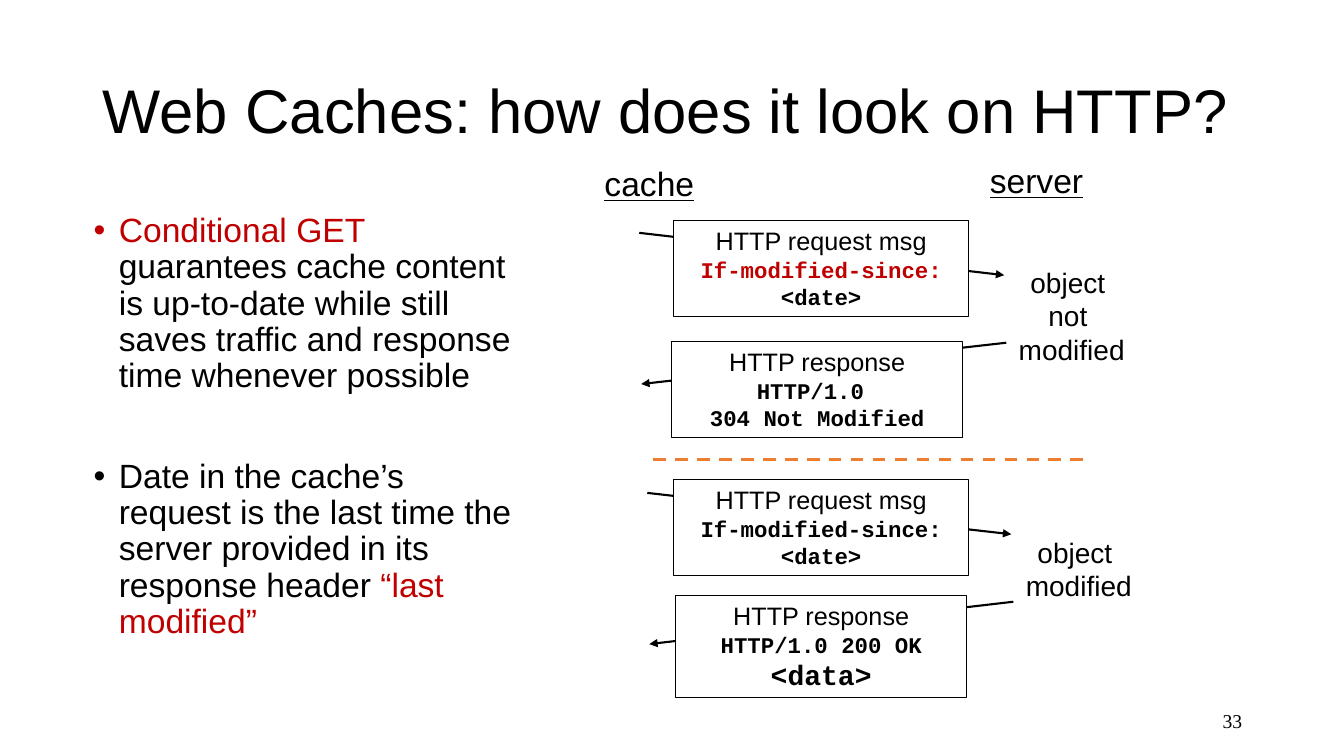
"""Builds the slide on conditional GET between a web cache and a server."""
from lxml import etree
from pptx import Presentation
from pptx.dml.color import RGBColor
from pptx.enum.dml import MSO_LINE
from pptx.enum.shapes import MSO_CONNECTOR, MSO_SHAPE
from pptx.enum.text import MSO_ANCHOR, PP_ALIGN
from pptx.oxml.ns import qn
from pptx.util import Inches, Pt

LEFT, CENTER, RIGHT = PP_ALIGN.LEFT, PP_ALIGN.CENTER, PP_ALIGN.RIGHT
TOP, MIDDLE = MSO_ANCHOR.TOP, MSO_ANCHOR.MIDDLE
RECTANGLE, STRAIGHT = MSO_SHAPE.RECTANGLE, MSO_CONNECTOR.STRAIGHT
DASH = MSO_LINE.DASH

COLORS = {"black": "000000", "white": "FFFFFF", "red": "C00000", "orange": "ED7D31"}
FORMATS = {
    "title": {"name": "Arial", "size": Pt(44)},
    "body": {"name": "Arial", "size": Pt(24)},
    "host": {"name": "Arial", "size": Pt(24), "underline": True},
    "state": {"name": "Arial", "size": Pt(20)},
    "message": {"name": "Arial", "size": Pt(18)},
    "code": {"name": "Courier New", "size": Pt(16), "bold": True},
    "data": {"name": "Courier New", "size": Pt(20), "bold": True},
    "number": {"name": "Times New Roman", "size": Pt(14)},
}

prs = Presentation()
prs.slide_width, prs.slide_height = Inches(13.33), Inches(7.5)
slide = prs.slides.add_slide(prs.slide_layouts[6])


def write(holder, paragraphs, align=CENTER, anchor=TOP, wrap=True):
    """Fill a shape with paragraphs of (text, format, color) runs."""
    frame = holder.text_frame
    frame.word_wrap, frame.vertical_anchor = wrap, anchor
    for index, runs in enumerate(paragraphs):
        paragraph = frame.add_paragraph() if index else frame.paragraphs[0]
        paragraph.alignment = align
        for text, style, color in runs:
            run = paragraph.add_run()
            run.text = text
            for attribute, value in FORMATS[style].items():
                setattr(run.font, attribute, value)
            run.font.color.rgb = RGBColor.from_string(COLORS[color])
    return frame.paragraphs


def draw_line(x1, y1, x2, y2, color, width):
    """Add a straight line without shadow."""
    line = slide.shapes.add_connector(
        STRAIGHT, Inches(x1), Inches(y1), Inches(x2), Inches(y2))
    line.line.color.rgb = RGBColor.from_string(COLORS[color])
    line.line.width = Pt(width)
    etree.SubElement(line.line._get_or_add_ln().getparent(), qn("a:effectLst"))
    return line


title = slide.shapes.add_textbox(Inches(0.92), Inches(0.4), Inches(11.5), Inches(1.45))
write(title, [[("Web Caches: how does it look on HTTP?", "title", "black")]],
      LEFT, MIDDLE)[0].line_spacing = 0.9

body = slide.shapes.add_textbox(Inches(0.83), Inches(2.07), Inches(4.42), Inches(4.71))
points = write(body, [
    [("Conditional GET ", "body", "red"),
     ("guarantees cache content is up-to-date while still saves traffic "
      "and response time whenever possible", "body", "black")],
    [("Date in the cache’s request is the last time the server provided "
      "in its response header ", "body", "black"),
     ("“last modified”", "body", "red")],
], LEFT)
for point, space_before in zip(points, (10, 46)):
    point.line_spacing, point.space_before = 0.9, Pt(space_before)
    properties = point._p.get_or_add_pPr()
    properties.set("marL", str(Inches(0.25)))
    properties.set("indent", str(-Inches(0.25)))
    etree.SubElement(properties, qn("a:buFont"), typeface="Arial")
    etree.SubElement(properties, qn("a:buChar"), char="•")

labels = [
    (5.89, 1.57, 1.1, 0.5, ["cache"], "host"),
    (9.71, 1.54, 1.14, 0.5, ["server"], "host"),
    (10, 2.58, 1.26, 1.11, ["object ", "not ", "modified"], "state"),
    (10.07, 5.26, 1.26, 0.77, ["object ", "modified"], "state"),
]
for x, y, width, height, words, style in labels:
    label = slide.shapes.add_textbox(Inches(x), Inches(y), Inches(width), Inches(height))
    write(label, [[(word, style, "black")] for word in words], wrap=False)

request = [("HTTP request msg", "message", "black")]
response = [("HTTP response", "message", "black")]
messages = [
    ((6.34, 2.31, 9.96, 2.73), (6.68, 2.19, 2.93, 0.95),
     [request, [("If-modified-since: ", "code", "red"), ("<date>", "code", "black")]]),
    ((9.98, 3.4, 6.36, 3.81), (6.66, 3.39, 2.89, 0.95),
     [response, [("HTTP/1.0 ", "code", "black")],
      [("304 Not Modified", "code", "black")]]),
    ((6.42, 4.89, 10.03, 5.3), (6.68, 4.76, 2.93, 0.95),
     [request, [("If-modified-since: <date>", "code", "black")]]),
    ((10.05, 5.97, 6.44, 6.39), (6.7, 5.91, 2.89, 1.01),
     [response, [("HTTP/1.0 200 OK", "code", "black")],
      [("<data>", "data", "black")]]),
]
for route, bounds, content in messages:
    arrow = draw_line(*route, "black", 1.5)
    etree.SubElement(arrow.line._get_or_add_ln(), qn("a:tailEnd"), type="triangle")
    message = slide.shapes.add_shape(RECTANGLE, *map(Inches, bounds))
    message.shadow.inherit = False
    message.fill.solid()
    message.fill.fore_color.rgb = RGBColor.from_string(COLORS["white"])
    message.line.color.rgb = RGBColor.from_string(COLORS["black"])
    message.line.width = Pt(0.75)
    write(message, content)

divider = draw_line(6.48, 4.56, 10.75, 4.56, "orange", 2.25)
divider.line.dash_style = DASH

page_number = slide.shapes.add_textbox(Inches(9.42), Inches(6.95), Inches(3), Inches(0.4))
write(page_number, [[("33", "number", "black")]], RIGHT, MIDDLE)

prs.save("out.pptx")
